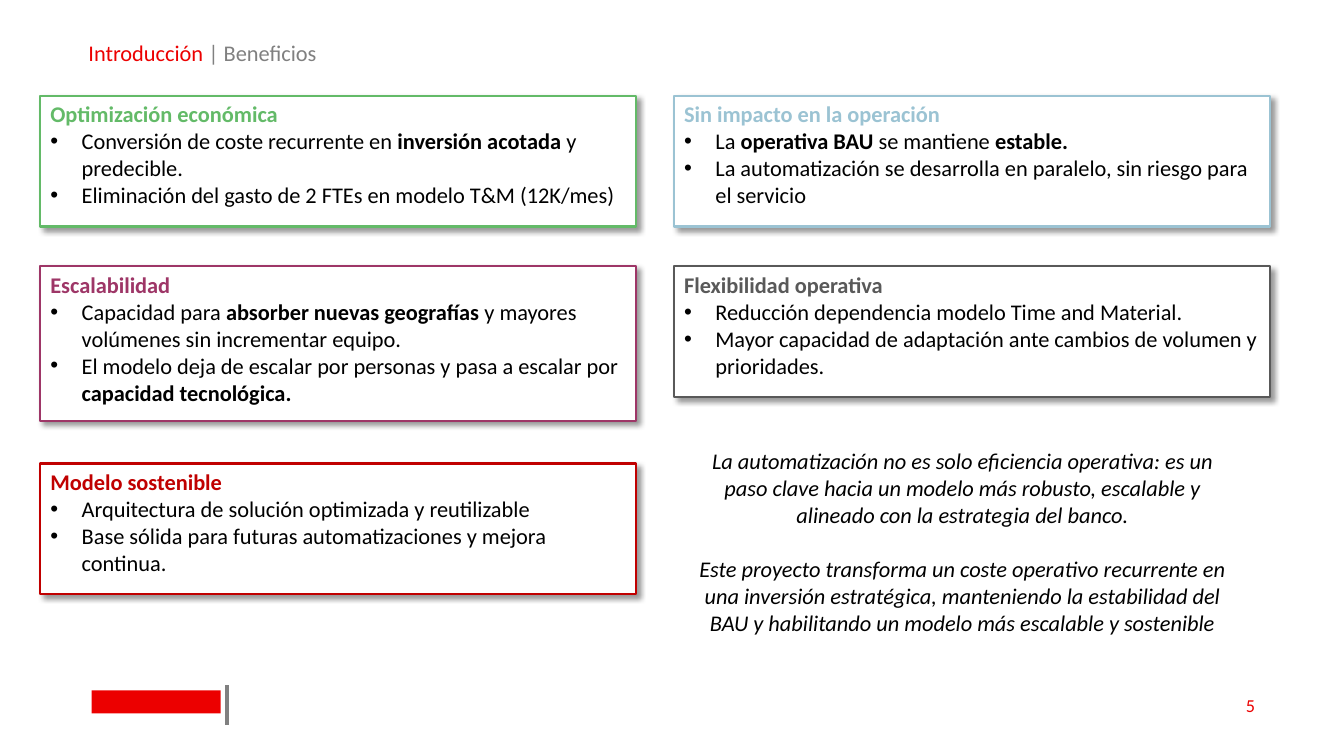
import lxml.etree
import pptx
import pptx.dml.color
import pptx.enum.shapes
import pptx.enum.text
import pptx.oxml
import pptx.oxml.ns
import pptx.util

Cm = pptx.util.Cm
Pt = pptx.util.Pt
RGBColor = pptx.dml.color.RGBColor
PP_ALIGN = pptx.enum.text.PP_ALIGN
RECT = pptx.enum.shapes.MSO_SHAPE.RECTANGLE

FONT = "Calibri"
RED = RGBColor(0xEC, 0x00, 0x00)
GREY = RGBColor(0x80, 0x80, 0x80)
BLACK = RGBColor(0x00, 0x00, 0x00)
WHITE = RGBColor(0xFF, 0xFF, 0xFF)
GREEN = RGBColor(0x63, 0xBA, 0x68)
SKY = RGBColor(0x9B, 0xC3, 0xD3)
PLUM = RGBColor(0x9E, 0x36, 0x67)
CRIMSON = RGBColor(0xC0, 0x00, 0x00)
SLATE = RGBColor(0x59, 0x59, 0x59)

LEFT, RIGHT = 1.02, 16.99
ROWS = (2.41, 6.71, 11.68)
CARD_WIDTH = 15.01
LOW, TALL = 3.3, 3.91

CARDS = [
    (LEFT, ROWS[0], LOW, GREEN, "Optimización económica", [
        ("Conversión de coste recurrente en ", "inversión acotada ", "y predecible."),
        ("Eliminación del gasto de 2 FTEs en modelo T&M (12K/mes)",)]),
    (RIGHT, ROWS[0], LOW, SKY, "Sin impacto en la operación", [
        ("La ", "operativa BAU", " se mantiene ", "estable."),
        ("La automatización se desarrolla en paralelo, sin riesgo para el servicio",)]),
    (LEFT, ROWS[1], TALL, PLUM, "Escalabilidad", [
        ("Capacidad para ", "absorber nuevas geografías ",
         "y mayores volúmenes sin incrementar equipo."),
        ("El modelo deja de escalar por personas y pasa a escalar por ",
         "capacidad tecnológica.")]),
    (RIGHT, ROWS[1], LOW, SLATE, "Flexibilidad operativa", [
        ("Reducción dependencia modelo Time and Material.",),
        ("Mayor capacidad de adaptación ante cambios de volumen y prioridades.",)]),
    (LEFT, ROWS[2], LOW, CRIMSON, "Modelo sostenible", [
        ("Arquitectura de solución optimizada y reutilizable",),
        ("Base sólida para futuras automatizaciones y mejora continua.",)]),
]

MESSAGES = [
    "La automatización no es solo eficiencia operativa: es un paso clave hacia un modelo "
    "más robusto, escalable y alineado con la estrategia del banco.",
    "Este proyecto transforma un coste operativo recurrente en una inversión estratégica, "
    "manteniendo la estabilidad del BAU y habilitando un modelo más escalable y sostenible",
]


def add_run(p, text, color, size=16, bold=False, italic=False):
    """Append a formatted run to a paragraph."""
    r = p.add_run()
    r.text = text
    r.font.name = FONT
    r.font.size = Pt(size)
    r.font.bold = bold
    r.font.italic = italic
    r.font.color.rgb = color


def add_text_box(s, left, top, width, height):
    """Add a wrapping text box and return its text frame."""
    tf = s.shapes.add_textbox(Cm(left), Cm(top), Cm(width), Cm(height)).text_frame
    tf.word_wrap = True
    return tf


def add_shadow(sp):
    """Give a shape a soft shadow down to the right."""
    sp.shadow.inherit = False
    effects = sp._element.spPr.find(pptx.oxml.ns.qn("a:effectLst"))
    effects.append(pptx.oxml.parse_xml(
        f'<a:outerShdw {pptx.oxml.ns.nsdecls("a")} blurRad="{Pt(4)}" dist="{Pt(3)}" '
        'dir="2700000" algn="tl" rotWithShape="0"><a:srgbClr val="000000">'
        '<a:alpha val="40000"/></a:srgbClr></a:outerShdw>'))


def add_bullet(p):
    """Turn a paragraph into a bullet with a hanging indent."""
    pPr = p._p.get_or_add_pPr()
    pPr.set("marL", str(Cm(0.79)))
    pPr.set("indent", str(-Cm(0.79)))
    font = lxml.etree.SubElement(pPr, pptx.oxml.ns.qn("a:buFont"))
    font.set("typeface", "Arial")
    bullet = lxml.etree.SubElement(pPr, pptx.oxml.ns.qn("a:buChar"))
    bullet.set("char", "•")


def add_card(s, left, top, height, color, heading, bullets):
    """Add an outlined card; every second run of a bullet is bold."""
    sp = s.shapes.add_shape(RECT, Cm(left), Cm(top), Cm(CARD_WIDTH), Cm(height))
    sp.fill.solid()
    sp.fill.fore_color.rgb = WHITE
    sp.line.color.rgb = color
    sp.line.width = Pt(1.5)
    add_shadow(sp)
    tf = sp.text_frame
    tf.word_wrap = True
    tf.vertical_anchor = pptx.enum.text.MSO_ANCHOR.TOP
    p = tf.paragraphs[0]
    p.alignment = PP_ALIGN.LEFT
    add_run(p, heading, color, bold=True)
    for parts in bullets:
        p = tf.add_paragraph()
        p.alignment = PP_ALIGN.LEFT
        add_bullet(p)
        for i, text in enumerate(parts):
            add_run(p, text, BLACK, bold=i % 2 == 1)


def add_title(s):
    """Add the two-coloured section title."""
    p = add_text_box(s, 1.98, 0.94, 29.9, 0.84).paragraphs[0]
    p.line_spacing = 0.9
    add_run(p, "Introducción ", RED)
    add_run(p, "| Beneficios", GREY)


def add_messages(s):
    """Add the centred closing messages."""
    tf = add_text_box(s, 17.17, 11.15, 14.17, 5.05)
    for i, text in enumerate(MESSAGES):
        p = tf.add_paragraph() if i else tf.paragraphs[0]
        p.alignment = PP_ALIGN.CENTER
        if i:
            p.space_before = Pt(19.5)
        add_run(p, text, BLACK, italic=True)


def add_footer(s):
    """Add the brand block, the divider and the page number."""
    sp = s.shapes.add_shape(RECT, Cm(2.31), Cm(17.4), Cm(3.25), Cm(0.58))
    sp.shadow.inherit = False
    sp.fill.solid()
    sp.fill.fore_color.rgb = RED
    sp.line.fill.background()
    divider = s.shapes.add_connector(
        pptx.enum.shapes.MSO_CONNECTOR.STRAIGHT, Cm(5.72), Cm(17.27), Cm(5.72), Cm(18.26))
    divider.line.color.rgb = GREY
    divider.line.width = Pt(2.25)
    lxml.etree.SubElement(divider._element.spPr, pptx.oxml.ns.qn("a:effectLst"))
    tf = add_text_box(s, 24.26, 17.25, 7.62, 1.02)
    tf.vertical_anchor = pptx.enum.text.MSO_ANCHOR.MIDDLE
    p = tf.paragraphs[0]
    p.alignment = PP_ALIGN.RIGHT
    add_run(p, "5", RED, size=13)


def main():
    """Build the benefits slide and save it."""
    prs = pptx.Presentation()
    prs.slide_width = Cm(33.87)
    prs.slide_height = Cm(19.05)
    s = prs.slides.add_slide(prs.slide_layouts[6])
    add_footer(s)
    add_title(s)
    add_messages(s)
    for card in CARDS:
        add_card(s, *card)
    prs.save("out.pptx")


if __name__ == "__main__":
    main()
